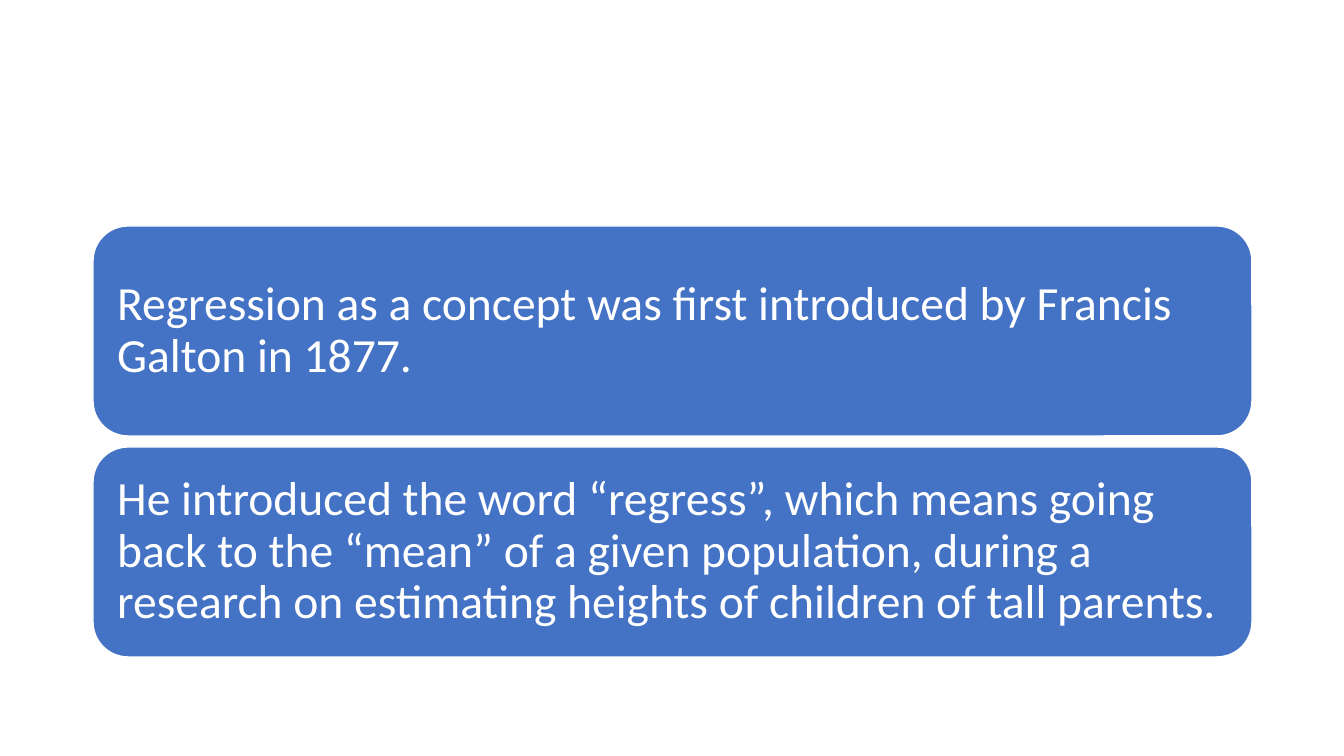
from pptx import Presentation
from pptx.dml.color import RGBColor
from pptx.enum.shapes import MSO_SHAPE
from pptx.enum.text import MSO_ANCHOR, PP_ALIGN
from pptx.util import Emu, Pt

# Content
STATEMENTS = [
    "Regression as a concept was first introduced by Francis Galton in 1877.",
    "He introduced the word “regress”, which means going back to the “mean” "
    "of a given population, during a research on estimating heights of "
    "children of tall parents.",
]
COLORS = {"card": "4472C4", "white": "FFFFFF"}

# Layout in px
SLIDE_WIDTH, SLIDE_HEIGHT = 1344, 756
CARD_LEFT, CARD_TOP, CARD_WIDTH, CARD_HEIGHT = 93, 226, 1159, 210
CARD_GAP = 11
CARD_INSET = 14


def px(value):
    return Emu(round(value * 12192000 / SLIDE_WIDTH))


def color(name):
    return RGBColor.from_string(COLORS[name])


def add_card(slide, top, text):
    shape = slide.shapes.add_shape(
        MSO_SHAPE.ROUNDED_RECTANGLE,
        px(CARD_LEFT), px(top), px(CARD_WIDTH), px(CARD_HEIGHT))
    shape.shadow.inherit = False
    shape.fill.solid()
    shape.fill.fore_color.rgb = color("card")
    shape.line.color.rgb = color("white")
    shape.line.width = Pt(1)

    # Card text
    text_frame = shape.text_frame
    text_frame.word_wrap = True
    text_frame.vertical_anchor = MSO_ANCHOR.MIDDLE
    text_frame.margin_left = text_frame.margin_right = px(CARD_INSET)
    text_frame.margin_top = text_frame.margin_bottom = px(CARD_INSET)
    text_frame.text = text
    paragraph = text_frame.paragraphs[0]
    paragraph.alignment = PP_ALIGN.LEFT
    paragraph.line_spacing = 0.9
    font = paragraph.runs[0].font
    font.name = "Calibri"
    font.size = Pt(34)
    font.color.rgb = color("white")


def main():
    presentation = Presentation()
    presentation.slide_width = px(SLIDE_WIDTH)
    presentation.slide_height = px(SLIDE_HEIGHT)
    slide = presentation.slides.add_slide(presentation.slide_layouts[6])

    # Stacked cards
    for index, statement in enumerate(STATEMENTS):
        add_card(slide, CARD_TOP + index * (CARD_HEIGHT + CARD_GAP), statement)

    presentation.save("out.pptx")


if __name__ == "__main__":
    main()
